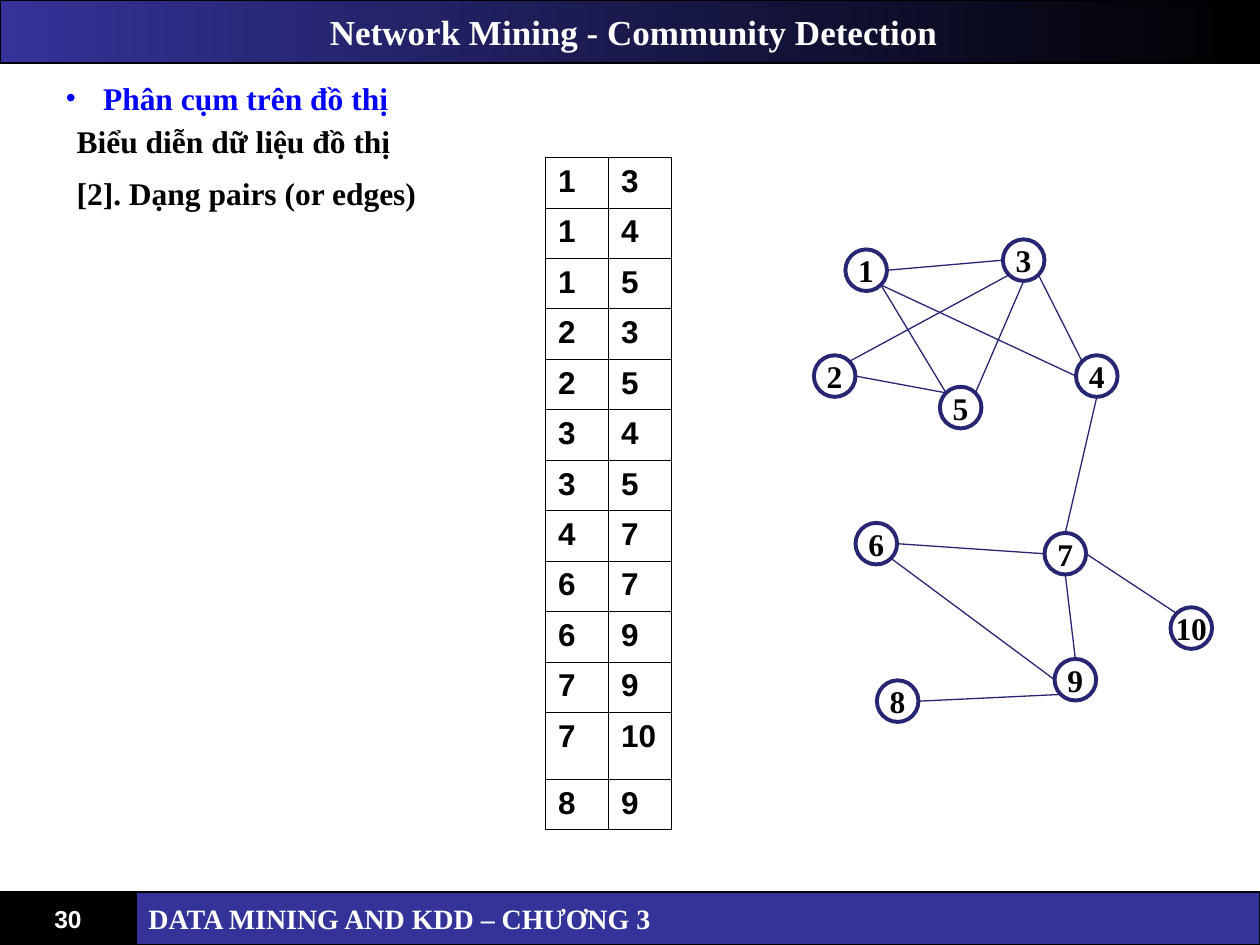
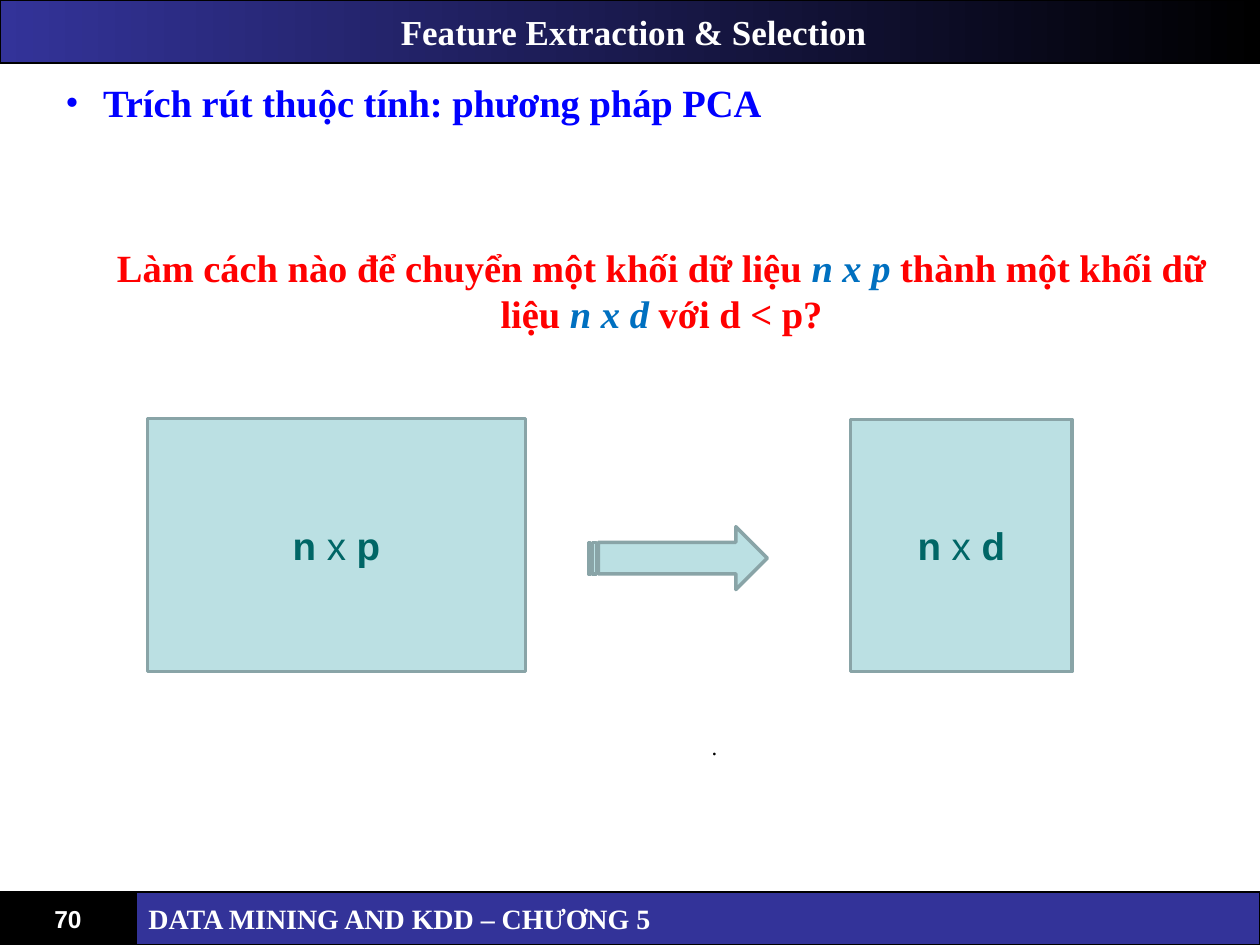
from dataclasses import dataclass
from math import cos, radians, sin

from lxml import etree
from pptx import Presentation
from pptx.dml.color import RGBColor
from pptx.enum.shapes import MSO_CONNECTOR, MSO_SHAPE
from pptx.enum.text import MSO_ANCHOR, PP_ALIGN
from pptx.oxml.ns import qn
from pptx.util import Inches, Pt

LEFT, CENTER = PP_ALIGN.LEFT, PP_ALIGN.CENTER
TOP, MIDDLE = MSO_ANCHOR.TOP, MSO_ANCHOR.MIDDLE
RECT, OVAL = MSO_SHAPE.RECTANGLE, MSO_SHAPE.OVAL
ARROW = MSO_SHAPE.STRIPED_RIGHT_ARROW
STRAIGHT = MSO_CONNECTOR.STRAIGHT


@dataclass(frozen=True)
class Theme:
    serif: str = "Times New Roman"
    sans: str = "Arial"
    black: str = "000000"
    white: str = "FFFFFF"
    band: str = "333399"
    edge: str = "262673"
    blue: str = "0000FF"
    red: str = "FF0000"
    term: str = "0070C0"
    block: str = "BBE0E3"
    rim: str = "89A4A7"
    label: str = "006666"
    title: int = 20
    large: int = 22
    body: int = 18
    foot: int = 16
    page: int = 14
    small: int = 13


T = Theme()
SIZE = 0.33
NODES = {
    1: (6.71, 1.98), 2: (6.46, 2.82), 3: (7.96, 1.9), 4: (8.54, 2.82),
    5: (7.46, 3.07), 6: (6.79, 4.15), 7: (8.29, 4.23), 8: (6.96, 5.4),
    9: (8.37, 5.23), 10: (9.29, 4.82),
}
SITES = {"E": 0, "SE": 45, "S": 90, "SW": 135, "W": 180, "NW": 225, "N": 270, "NE": 315}
PAIRS = [
    (1, 3, "E", "W"), (1, 4, "SE", "W"), (1, 5, "SE", "NW"),
    (2, 3, "NE", "SW"), (2, 5, "E", "NW"), (3, 4, "SE", "NW"),
    (3, 5, "S", "NE"), (4, 7, "S", "N"), (6, 7, "E", "W"),
    (6, 9, "SE", "W"), (7, 9, "S", "N"), (7, 10, "E", "NW"),
    (8, 9, "E", "SW"),
]


def rgb(code):
    return RGBColor.from_string(code)


def style(font, size, color, name=T.serif, bold=True):
    font.name = name
    font.size = Pt(size)
    font.bold = bold
    font.color.rgb = rgb(color)


def place(shape, left, top, width, height):
    shape.left, shape.top = Inches(left), Inches(top)
    shape.width, shape.height = Inches(width), Inches(height)


def write(shape, text, size, color, name=T.serif, bold=True,
          align=CENTER, anchor=MIDDLE, wrap=True):
    frame = shape.text_frame
    frame.word_wrap = wrap
    frame.vertical_anchor = anchor
    para = frame.paragraphs[0]
    para.text = text
    para.alignment = align
    style(para.font, size, color, name, bold)
    return para


def add_runs(para, parts):
    for text, looks in parts:
        run = para.add_run()
        run.text = text
        if "color" in looks:
            run.font.color.rgb = rgb(looks["color"])
        run.font.bold = looks.get("bold")
        run.font.italic = looks.get("italic")


def add_form(slide, kind, area, fill, line, width):
    form = slide.shapes.add_shape(kind, *map(Inches, area))
    form.shadow.inherit = False
    if fill:
        form.fill.solid()
        form.fill.fore_color.rgb = rgb(fill)
    else:
        form.fill.background()
    form.line.color.rgb = rgb(line)
    form.line.width = Pt(width)
    return form


def add_text(slide, area, text, size, color, **looks):
    box = slide.shapes.add_textbox(*map(Inches, area))
    looks = {"align": LEFT, "anchor": TOP, **looks}
    return write(box, text, size, color, **looks)


def add_bullet(slide, text, size, height):
    box = slide.shapes.add_textbox(*map(Inches, (0.42, 0.58, 9.17, height)))
    props = box.text_frame.paragraphs[0]._p.get_or_add_pPr()
    props.set("marL", str(Inches(0.3)))
    props.set("indent", str(-Inches(0.3)))
    tint = etree.SubElement(props, qn("a:buClr"))
    etree.SubElement(tint, qn("a:srgbClr")).set("val", T.blue)
    etree.SubElement(props, qn("a:buFont")).set("typeface", T.serif)
    etree.SubElement(props, qn("a:buChar")).set("char", "•")
    write(box, text, size, T.blue, align=LEFT, anchor=TOP)


def add_base(deck, title, page, part):
    slide = deck.slides.add_slide(deck.slide_layouts[5])
    head = slide.shapes.title
    place(head, 0, 0, 10, 0.5)
    head.fill.gradient()
    head.fill.gradient_angle = 0
    for stop, color in zip(head.fill.gradient_stops, (T.band, T.black)):
        stop.color.rgb = rgb(color)
    head.line.color.rgb = rgb(T.black)
    head.line.width = Pt(0.75)
    write(head, title, T.title, T.white)
    head.text_frame.margin_left = Inches(0.16)

    cell = add_form(slide, RECT, (0, 7.08, 1.08, 0.42), T.black, T.black, 0.75)
    write(cell, str(page), T.page, T.white, T.sans)
    foot = add_form(slide, RECT, (1.08, 7.08, 8.92, 0.42), T.band, T.black, 0.75)
    write(foot, f"DATA MINING AND KDD – CHƯƠNG {part}", T.foot, T.white, align=LEFT)
    return slide


def add_node(slide, label, spot):
    node = add_form(slide, OVAL, (*spot, SIZE, SIZE), None, T.edge, 2.25)
    write(node, str(label), T.body, T.black, wrap=False)


def site(node, side):
    angle = radians(SITES[side])
    left, top = NODES[node]
    half = SIZE / 2
    return Inches(left + half + half * cos(angle)), Inches(top + half + half * sin(angle))


def add_edge(slide, start, end):
    edge = slide.shapes.add_connector(STRAIGHT, *start, *end)
    edge.line.color.rgb = rgb(T.edge)
    edge.line.width = Pt(0.75)
    etree.SubElement(edge._element.spPr, qn("a:effectLst"))


def add_border(cell):
    props = cell._tc.get_or_add_tcPr()
    for side in "LRTB":
        line = etree.SubElement(props, qn(f"a:ln{side}"), w=str(Pt(0.45)))
        fill = etree.SubElement(line, qn("a:solidFill"))
        etree.SubElement(fill, qn("a:srgbClr")).set("val", T.black)


def add_pairs(slide):
    area = (4.33, 1.25, 1, 5.34)
    table = slide.shapes.add_table(len(PAIRS), 2, *map(Inches, area)).table
    table.first_row = table.horz_banding = False
    for column in table.columns:
        column.width = Inches(0.5)
    for row, (start, end, *_) in zip(table.rows, PAIRS):
        row.height = Inches(0.53 if end == 10 else 0.4)
        for cell, value in zip(row.cells, (start, end)):
            add_border(cell)
            cell.fill.background()
            para = cell.text_frame.paragraphs[0]
            para.text = str(value)
            style(para.font, T.body, T.black, T.sans)


def add_block(slide, area, parts):
    block = add_form(slide, RECT, area, T.block, T.rim, 2)
    add_runs(write(block, "", T.large, T.label, T.sans), parts)


def graph_slide(deck):
    slide = add_base(deck, "Network Mining - Community Detection", 30, 3)
    add_bullet(slide, "Phân cụm trên đồ thị", T.body, 0.4)
    add_text(slide, (0.51, 0.92, 2.69, 0.4), "Biểu diễn dữ liệu đồ thị",
             T.body, T.black, wrap=False)
    add_text(slide, (0.51, 1.33, 2.9, 0.4), "[2]. Dạng pairs (or edges)",
             T.body, T.black, wrap=False)
    for label, spot in NODES.items():
        add_node(slide, label, spot)
    for start, end, out, into in PAIRS:
        add_edge(slide, site(start, out), site(end, into))
    add_pairs(slide)


def matrix_slide(deck):
    slide = add_base(deck, "Feature Extraction & Selection", 70, 5)
    add_bullet(slide, "Trích rút thuộc tính: phương pháp PCA", T.large, 0.47)
    add_text(slide, (5.55, 5.76, 0.24, 0.32), ".", T.small, T.black,
             bold=False, align=CENTER, anchor=MIDDLE, wrap=False)
    plain = {"bold": False}
    add_block(slide, (1.17, 3.32, 3, 2.01), [("n ", {}), ("x", plain), (" p", {})])
    add_block(slide, (6.75, 3.33, 1.76, 2), [("n ", {}), ("x ", plain), ("d", {})])
    add_form(slide, ARROW, (4.67, 4.18, 1.42, 0.5), T.block, T.rim, 2)
    term = {"color": T.term, "italic": True}
    ask = add_text(slide, (0.79, 1.89, 8.92, 0.84), "", T.large, T.red, align=CENTER)
    add_runs(ask, [
        ("Làm cách nào để chuyển một khối dữ liệu ", {}),
        ("n x p ", term),
        ("thành một khối dữ liệu ", {}),
        ("n x d", term),
        (" với d < p?", {}),
    ])


def main():
    deck = Presentation()
    deck.slide_width, deck.slide_height = Inches(10), Inches(7.5)
    graph_slide(deck)
    matrix_slide(deck)
    deck.save("out.pptx")


if __name__ == "__main__":
    main()
